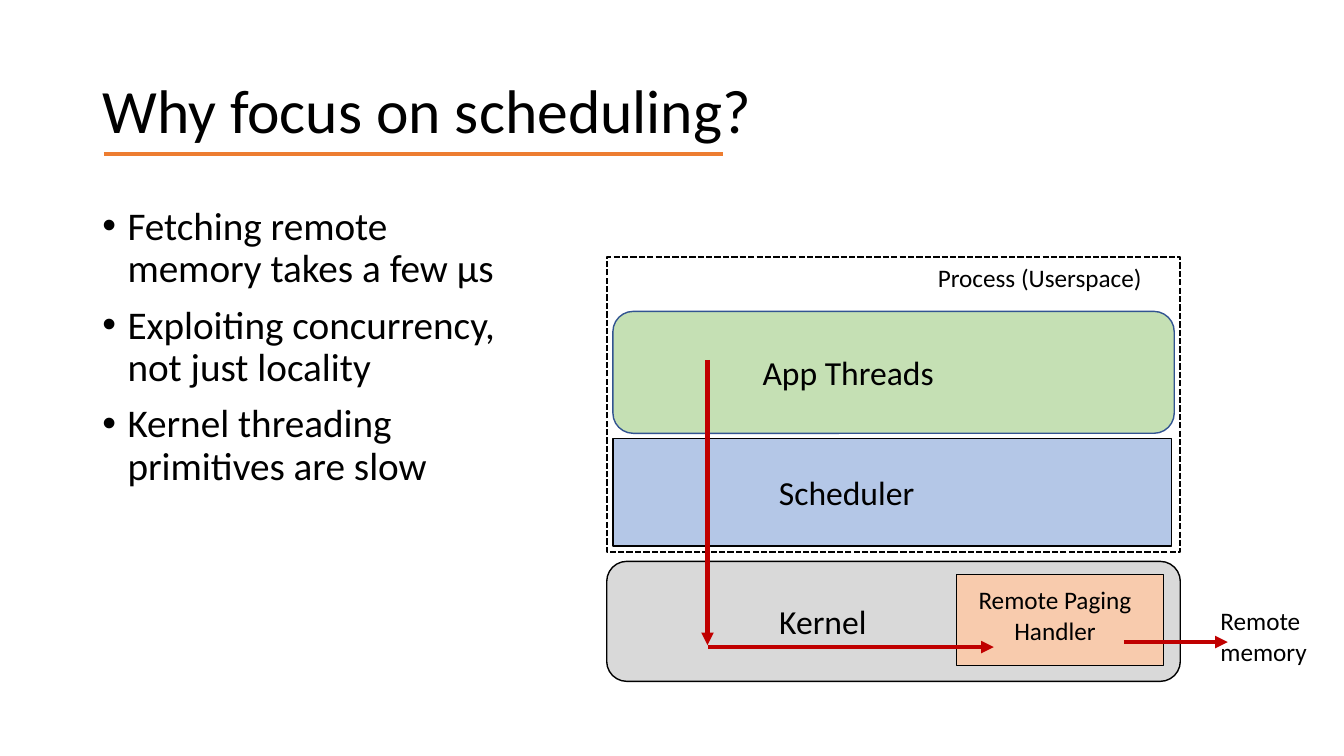
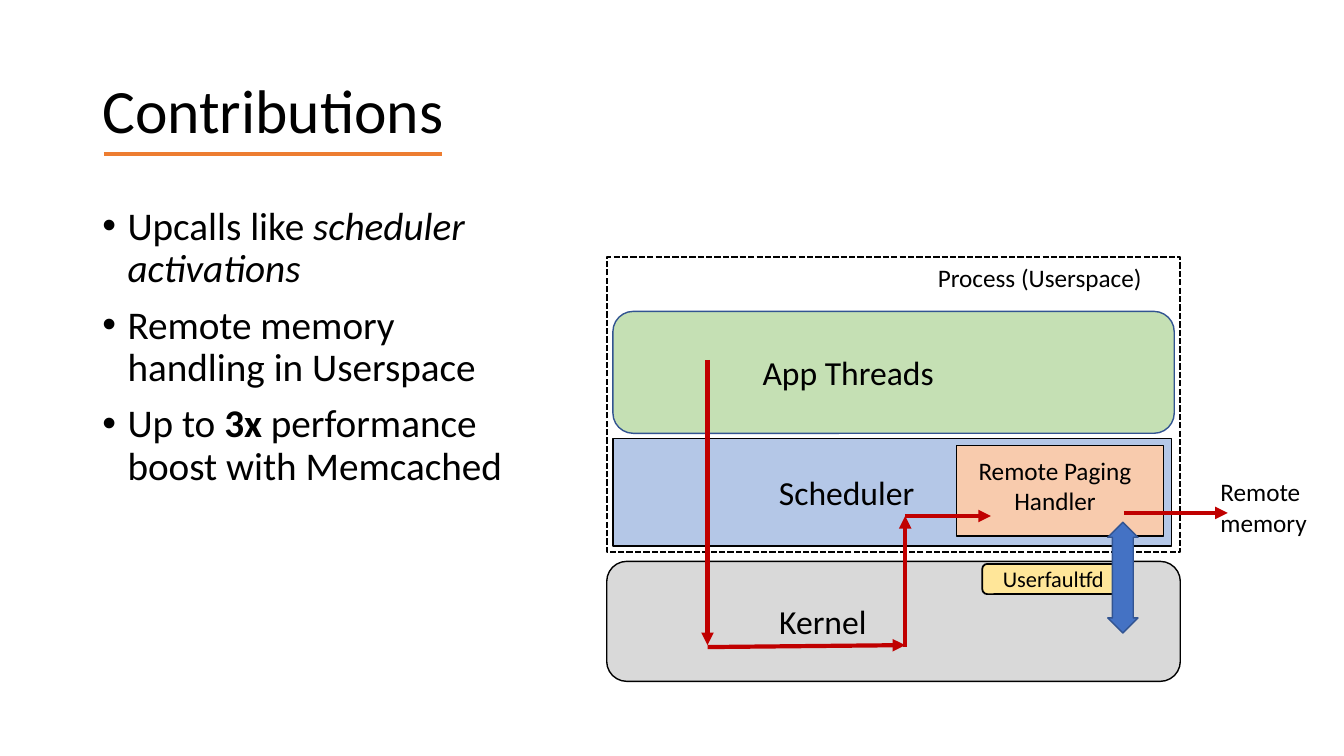
from pptx import Presentation
from pptx.dml.color import RGBColor
from pptx.enum.dml import MSO_LINE
from pptx.enum.shapes import MSO_CONNECTOR, MSO_SHAPE
from pptx.enum.text import MSO_ANCHOR, PP_ALIGN
from pptx.oxml.ns import qn
from pptx.util import Pt
from lxml.etree import SubElement

FONT = "Calibri"
BLACK, RED, ORANGE = "000000", "C00000", "ED7D31"
GREEN, BLUE, GREY = "C5E0B4", "B4C7E7", "D9D9D9"
PEACH, YELLOW, ROYAL, NAVY = "F8CBAD", "FFE699", "4472C4", "325491"
RECT, ROUND = MSO_SHAPE.RECTANGLE, MSO_SHAPE.ROUNDED_RECTANGLE
INSET = (7.2, 3.6, 7.2, 3.6)


def color(code):
    return RGBColor.from_string(code)


def write(frame, *paras, size=18, align=PP_ALIGN.LEFT, anchor=MSO_ANCHOR.TOP,
          inset=INSET, space=None, gap=0, bullet=False):
    """Fill a frame; a paragraph is a string or a list of (text, style)."""
    frame.word_wrap = True
    frame.vertical_anchor = anchor
    (frame.margin_left, frame.margin_top,
     frame.margin_right, frame.margin_bottom) = map(Pt, inset)
    for n, runs in enumerate(paras):
        para = frame.add_paragraph() if n else frame.paragraphs[0]
        if bullet:
            props = para._p.get_or_add_pPr()
            props.set("marL", str(Pt(18)))
            props.set("indent", str(-Pt(18)))
            SubElement(props, qn("a:buFont"), typeface="Arial")
            SubElement(props, qn("a:buChar"), char="•")
        para.alignment = align
        if space:
            para.line_spacing = space
        if n and gap:
            para.space_before = Pt(gap)
        for text, style in [(runs, "")] if isinstance(runs, str) else runs:
            run = para.add_run()
            run.text = text
            font = run.font
            font.name, font.size = FONT, Pt(size)
            font.color.rgb = color(BLACK)
            if style == "bold":
                font.bold = True
            elif style == "italic":
                font.italic = True


class Deck:
    def __init__(self):
        self.file = Presentation()
        self.file.slide_width, self.file.slide_height = Pt(960), Pt(540)
        self.slide = None

    def page(self, title, end, *points):
        """Start a slide with its title, underline and bullet list."""
        self.slide = self.file.slides.add_slide(self.file.slide_layouts[6])
        self.label(66, 29, 828, 104, title, size=44, space=0.9,
                   anchor=MSO_ANCHOR.MIDDLE)
        self.line(74.2, 110.2, end, 110.2, ORANGE, 2.75)
        self.label(66, 144, 311, 343, *points, size=28, space=0.9, gap=10,
                   bullet=True)

    def label(self, x, y, w, h, *paras, **style):
        box = self.slide.shapes.add_textbox(Pt(x), Pt(y), Pt(w), Pt(h))
        write(box.text_frame, *paras, **style)

    def box(self, kind, x, y, w, h, text="", fill=None, edge=BLACK, width=1,
            dash=None, anchor=MSO_ANCHOR.MIDDLE, **style):
        shape = self.slide.shapes.add_shape(kind, Pt(x), Pt(y), Pt(w), Pt(h))
        shape.shadow.inherit = False
        if fill:
            shape.fill.solid()
            shape.fill.fore_color.rgb = color(fill)
        else:
            shape.fill.background()
        shape.line.color.rgb = color(edge)
        shape.line.width = Pt(width)
        if dash:
            shape.line.dash_style = dash
        if text:
            write(shape.text_frame, text, align=PP_ALIGN.CENTER,
                  anchor=anchor, **style)
        return shape

    def line(self, x1, y1, x2, y2, tone, width):
        line = self.slide.shapes.add_connector(
            MSO_CONNECTOR.STRAIGHT, Pt(x1), Pt(y1), Pt(x2), Pt(y2))
        line.line.color.rgb = color(tone)
        line.line.width = Pt(width)
        SubElement(line._element.spPr, qn("a:effectLst"))
        return line

    def arrow(self, x1, y1, x2, y2):
        line = self.line(x1, y1, x2, y2, RED, 3)
        SubElement(line.line._get_or_add_ln(), qn("a:tailEnd"),
                   type="triangle")

    def stack(self):
        """Draw the layers and the fault going down to the kernel."""
        self.box(ROUND, 433.4, 401, 409.7, 85.7, "Kernel", GREY,
                 size=24, inset=(7.2, 3.6, 108, 3.6))
        self.box(ROUND, 437.8, 222.4, 401, 87.1, "App Threads", GREEN,
                 NAVY, size=24, inset=(7.2, 3.6, 72, 3.6))
        self.box(RECT, 433.4, 183.6, 409.7, 211, "Process (Userspace)",
                 width=1.5, dash=MSO_LINE.SQUARE_DOT, anchor=MSO_ANCHOR.TOP,
                 inset=(216, 3.6, 7.2, 3.6))
        self.box(RECT, 437.8, 313.2, 398.9, 77, "Scheduler", BLUE,
                 size=24, inset=(7.2, 3.6, 72, 3.6))
        self.arrow(505.4, 257, 505.4, 460.8)

    def pager(self, y):
        """Draw the paging handler at y with its way to remote memory."""
        self.label(864.7, y + 18.7, 84.2, 51, "Remote memory")
        self.box(RECT, 683.3, y, 147.6, 64.8, "Remote Paging Handler", PEACH,
                 anchor=MSO_ANCHOR.TOP, inset=(0, 7.2, 7.2, 3.6))
        self.arrow(802.8, y + 48.2, 877, y + 48.2)


def main():
    deck = Deck()

    # Paging inside the kernel
    deck.page("Why focus on scheduling?", 516.2,
              "Fetching remote memory takes a few µs",
              "Exploiting concurrency, not just locality",
              "Kernel threading primitives are slow")
    deck.stack()
    deck.pager(410.4)
    deck.arrow(505.4, 462.2, 709.9, 462.2)

    # Paging inside the scheduler
    deck.page("Contributions", 316,
              [("Upcalls like ", ""), ("scheduler activations", "italic")],
              "Remote memory handling in Userspace",
              [("Up to ", ""), ("3x", "bold"),
               (" performance boost with Memcached", "")])
    deck.stack()
    deck.pager(318.2)

    # Upcall from the kernel to the handler
    deck.arrow(505.4, 462.2, 646.6, 460.8)
    deck.arrow(646.6, 462.2, 646.6, 368.6)
    deck.arrow(646.6, 368.6, 707.8, 368.6)
    deck.box(ROUND, 701.6, 402.8, 101.5, 21.6, "Userfaultfd", YELLOW,
             width=1.25, size=16)
    both = deck.box(MSO_SHAPE.UP_DOWN_ARROW, 791.3, 373, 21.6, 79.2,
                    fill=ROYAL, edge=NAVY)
    both.adjustments[0], both.adjustments[1] = 0.5, 0.69

    deck.file.save("out.pptx")


if __name__ == "__main__":
    main()
